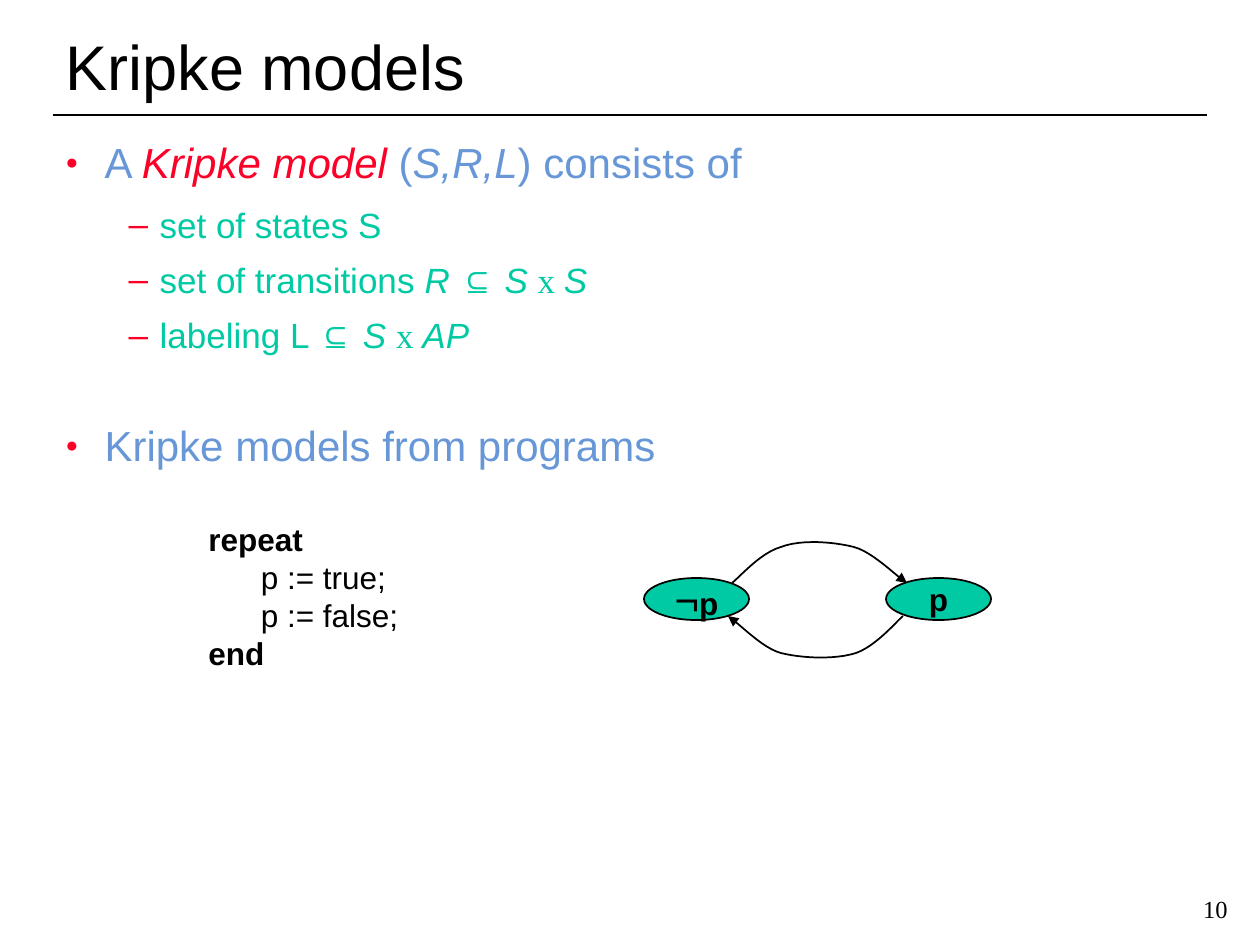
import pptx
import pptx.util
import pptx.dml.color
import pptx.enum.shapes
import pptx.enum.text
import pptx.oxml
import pptx.oxml.ns
from lxml import etree

BLACK, RED, BLUE, GREEN = "000000", "FC0128", "6797D7", "00CAA4"
ARIAL, TIMES = "Arial", "Times New Roman"
ALIGN = pptx.enum.text.PP_ALIGN
ANCHOR = pptx.enum.text.MSO_ANCHOR
ITALIC = {"italic": True}
SERIF = {"font": TIMES}
BOLD = {"bold": True}

LEVELS = [
    {"size": 24, "color": BLUE, "left": 39, "hang": 39, "before": 3, "after": 9,
     "bullet": "●", "percent": 50},
    {"size": 20, "color": GREEN, "left": 94, "hang": 31, "before": 2.5, "after": 7.5,
     "bullet": "–", "percent": 100},
]
BODY = [
    (0, 0.9, [("A ", {}), ("Kripke model", {"italic": True, "color": RED}), (" (", {}),
              ("S,R,L", ITALIC), (") consists of", {})]),
    (1, 0.9, [("set of states S", {})]),
    (1, 0.9, [("set of transitions ", {}), ("R ", ITALIC), ("⊆ ", {}), ("S ", ITALIC),
              ("x ", SERIF), ("S", ITALIC)]),
    (1, 0.9, [("labeling L ⊆ ", {}), ("S ", ITALIC), ("x ", SERIF), ("AP", ITALIC)]),
    (0, 1.9, [("Kripke models from programs", {})]),
]
CODE = [("repeat", BOLD), ("      p := true;", {}), ("      p := false;", {}), ("end", BOLD)]
STATES = [
    (644, [("¬", {"size": 24}), ("p", BOLD)]),
    (886, [("p", BOLD)]),
]
TRANSITIONS = [
    [(732, 583), (740, 577), (760, 553), (781, 547), (801, 539),
     (835, 542), (854, 547), (873, 552), (896, 576), (907, 583)],
    [(903, 616), (896, 622), (876, 646), (856, 653), (834, 660),
     (801, 658), (781, 653), (762, 648), (740, 624), (728, 616)],
]
STEPS = 12


def px(n):
    return pptx.util.Emu(round(n * 914400 / 126))


def rgb(color):
    return pptx.dml.color.RGBColor.from_string(color)


def place(sp, *box):
    sp.left, sp.top, sp.width, sp.height = [px(n) for n in box]


def add_runs(p, runs, size, color=BLACK, font=ARIAL):
    for text, style in runs:
        r = p.add_run()
        r.text = text
        r.font.size = pptx.util.Pt(style.get("size", size))
        r.font.name = style.get("font", font)
        r.font.bold = style.get("bold", False)
        r.font.italic = style.get("italic", False)
        r.font.color.rgb = rgb(style.get("color", color))


def add_paragraph(tf, i):
    return tf.add_paragraph() if i else tf.paragraphs[0]


def add_bullet(p, level):
    pPr = p._p.get_or_add_pPr()
    pPr.set("marL", str(px(level["left"])))
    pPr.set("indent", str(-px(level["hang"])))
    ns = pptx.oxml.ns.nsdecls("a")
    for xml in (f'<a:buClr {ns}><a:srgbClr val="{RED}"/></a:buClr>',
                f'<a:buSzPct {ns} val="{level["percent"] * 1000}"/>',
                f'<a:buFont {ns} typeface="{ARIAL}"/>',
                f'<a:buChar {ns} char="{level["bullet"]}"/>'):
        pPr.append(pptx.oxml.parse_xml(xml))


def outline(sp):
    sp.line.color.rgb = rgb(BLACK)
    sp.line.width = pptx.util.Pt(1)


def curve_points(points):
    for k in range(0, len(points) - 1, 3):
        for t in [n / STEPS for n in range(1, STEPS + 1)]:
            weights = ((1 - t) ** 3, 3 * t * (1 - t) ** 2, 3 * t * t * (1 - t), t ** 3)
            yield tuple(px(sum(w * pt[axis] for w, pt in zip(weights, points[k:k + 4])))
                        for axis in (0, 1))


def add_transition(s, points):
    fb = s.shapes.build_freeform(px(points[0][0]), px(points[0][1]))
    fb.add_line_segments(list(curve_points(points)), close=False)
    sp = fb.convert_to_shape()
    sp.shadow.inherit = False
    sp.fill.background()
    outline(sp)
    etree.SubElement(sp.line._get_or_add_ln(), pptx.oxml.ns.qn("a:tailEnd"), type="triangle")


def add_state(s, left, runs):
    sp = s.shapes.add_shape(pptx.enum.shapes.MSO_SHAPE.OVAL, px(left), px(578), px(105), px(42))
    sp.shadow.inherit = False
    sp.fill.solid()
    sp.fill.fore_color.rgb = rgb(GREEN)
    outline(sp)
    tf = sp.text_frame
    tf.word_wrap = False
    tf.vertical_anchor = ANCHOR.MIDDLE
    tf.paragraphs[0].alignment = ALIGN.CENTER
    add_runs(tf.paragraphs[0], runs, 18)


def main():
    prs = pptx.Presentation()
    prs.slide_width, prs.slide_height = px(1260), px(945)
    s = prs.slides.add_slide(prs.slide_layouts[1])

    title, body = s.placeholders
    place(title, 53, 21, 1119, 88)
    place(body, 53, 136, 1155, 346)
    for sp in (title, body):
        sp.text_frame.auto_size = pptx.enum.text.MSO_AUTO_SIZE.NONE
    title.text_frame.vertical_anchor = ANCHOR.BOTTOM
    p = title.text_frame.paragraphs[0]
    p.alignment = ALIGN.LEFT
    add_runs(p, [("Kripke models", {})], 36)

    for i, (depth, spacing, runs) in enumerate(BODY):
        level = LEVELS[depth]
        p = add_paragraph(body.text_frame, i)
        p.level = depth
        add_bullet(p, level)
        p.line_spacing = spacing
        p.space_before = pptx.util.Pt(level["before"] if i else 0)
        p.space_after = pptx.util.Pt(level["after"])
        add_runs(p, runs, level["size"], level["color"])

    rule = s.shapes.add_connector(pptx.enum.shapes.MSO_CONNECTOR.STRAIGHT,
                                  px(53), px(115), px(1207), px(115))
    outline(rule)
    etree.SubElement(rule._element.spPr, pptx.oxml.ns.qn("a:effectLst"))

    for left, runs in STATES:
        add_state(s, left, runs)
    for points in TRANSITIONS:
        add_transition(s, points)

    code = s.shapes.add_textbox(px(196), px(514), px(215), px(164))
    code.text_frame.word_wrap = False
    for i, line in enumerate(CODE):
        add_runs(add_paragraph(code.text_frame, i), [line], 18)

    number = s.shapes.add_textbox(px(1187), px(882), px(53), px(53))
    number.text_frame.word_wrap = True
    number.text_frame.vertical_anchor = ANCHOR.MIDDLE
    p = number.text_frame.paragraphs[0]
    p.alignment = ALIGN.RIGHT
    add_runs(p, [("10", {})], 14, font=TIMES)

    prs.save("out.pptx")


if __name__ == "__main__":
    main()
